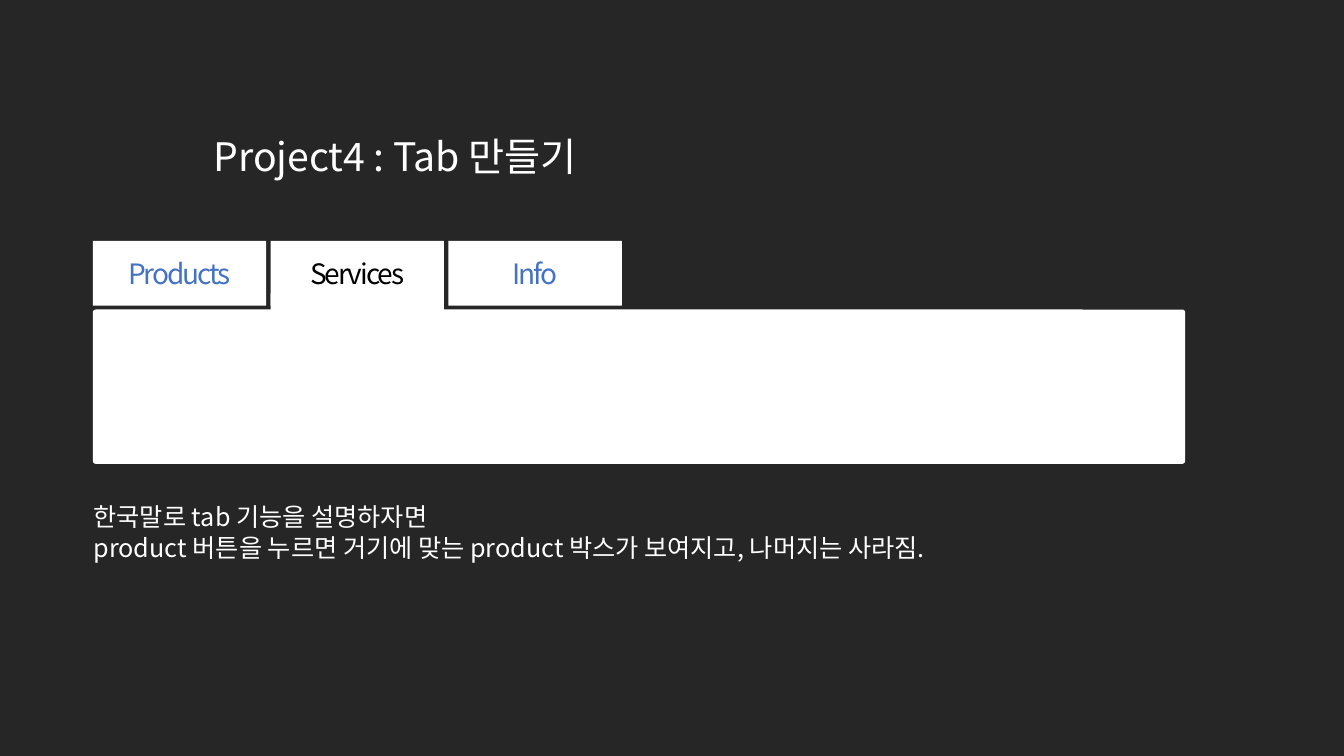
from dataclasses import dataclass

from lxml.etree import SubElement
from pptx import Presentation
from pptx.dml.color import RGBColor
from pptx.enum.shapes import MSO_SHAPE as Shape
from pptx.enum.text import MSO_ANCHOR as Anchor, PP_ALIGN as Align
from pptx.oxml.ns import qn
from pptx.util import Cm, Pt


@dataclass(frozen=True)
class Theme:
    font: str = "Noto Sans CJK KR"
    background: RGBColor = RGBColor(0x26, 0x26, 0x26)
    surface: RGBColor = RGBColor(0xFF, 0xFF, 0xFF)
    active: RGBColor = RGBColor(0x00, 0x00, 0x00)
    inactive: RGBColor = RGBColor(0x44, 0x72, 0xC4)
    title_size: int = 28
    tab_size: int = 20
    body_size: int = 18
    tab_tracking: int = -150


THEME = Theme()

TABS = ["Products", "Services", "Info"]
ACTIVE_TAB = "Services"
TAB_LEFT, TAB_TOP, TAB_WIDTH, TAB_HEIGHT = 2.34, 6.07, 4.37, 1.63
TAB_PITCH = 4.48


def style_text(frame, size, color, tracking=None):
    """Format every run, for Latin and Korean script alike."""
    for paragraph in frame.paragraphs:
        for run in paragraph.runs:
            run.font.size = Pt(size)
            run.font.color.rgb = color
            run.font.name = THEME.font
            properties = run.font._element
            SubElement(properties, qn("a:ea")).set("typeface", THEME.font)
            if tracking is not None:
                properties.set("spc", str(tracking))


def add_text(slide, text, left, top, width, height, size, anchor=Anchor.TOP):
    box = slide.shapes.add_textbox(Cm(left), Cm(top), Cm(width), Cm(height))
    frame = box.text_frame
    frame.word_wrap = True
    frame.vertical_anchor = anchor
    frame.text = text
    style_text(frame, size, THEME.surface)
    return frame


def add_surface(slide, kind, left, top, width, height, rounding=None):
    surface = slide.shapes.add_shape(
        kind, Cm(left), Cm(top), Cm(width), Cm(height))
    surface.shadow.inherit = False
    surface.fill.solid()
    surface.fill.fore_color.rgb = THEME.surface
    surface.line.fill.background()
    if rounding is not None:
        surface.adjustments[0] = rounding
    return surface


def add_tab(slide, label, left):
    tab = add_surface(slide, Shape.ROUNDED_RECTANGLE,
                      left, TAB_TOP, TAB_WIDTH, TAB_HEIGHT, rounding=0)
    frame = tab.text_frame
    frame.vertical_anchor = Anchor.MIDDLE
    frame.text = label
    frame.paragraphs[0].alignment = Align.CENTER
    color = THEME.active if label == ACTIVE_TAB else THEME.inactive
    style_text(frame, THEME.tab_size, color, THEME.tab_tracking)


def add_tab_panel(slide):
    """Draw the tabs, the panel and the bridge that joins the active tab to it."""
    for index, label in enumerate(TABS):
        add_tab(slide, label, TAB_LEFT + index * TAB_PITCH)
    add_surface(slide, Shape.ROUNDED_RECTANGLE,
                TAB_LEFT, 7.8, 27.53, 3.89, rounding=0.02)
    bridge_left = TAB_LEFT + TABS.index(ACTIVE_TAB) * TAB_PITCH
    add_surface(slide, Shape.RECTANGLE, bridge_left, 7.39, TAB_WIDTH, 0.97)


def main():
    deck = Presentation()
    deck.slide_width, deck.slide_height = Cm(33.87), Cm(19.05)
    slide = deck.slides.add_slide(deck.slide_layouts[6])
    slide.background.fill.solid()
    slide.background.fill.fore_color.rgb = THEME.background

    title = add_text(slide, "Project4 : Tab 만들기", 5.13, 2.54, 14.66, 2.16,
                     THEME.title_size, Anchor.MIDDLE)
    title.paragraphs[0].line_spacing = 1.5

    add_tab_panel(slide)

    add_text(slide,
             "한국말로 tab 기능을 설명하자면\n"
             "product 버튼을 누르면 거기에 맞는 product 박스가 보여지고, "
             "나머지는 사라짐.",
             2.11, 12.52, 21.64, 1.8, THEME.body_size)

    deck.save("out.pptx")


if __name__ == "__main__":
    main()
